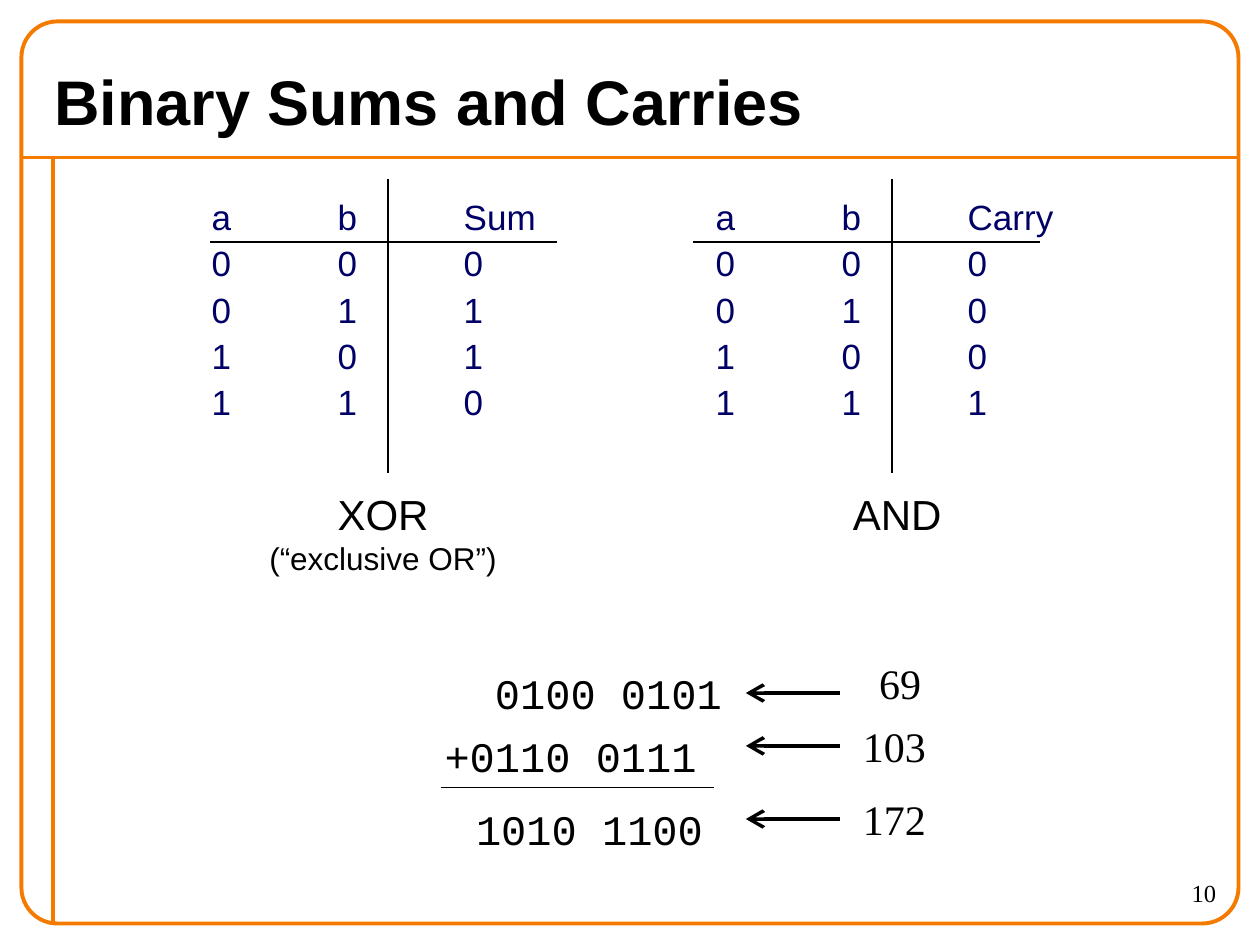
from lxml.etree import SubElement
from pptx import Presentation
from pptx.dml.color import RGBColor
from pptx.enum.shapes import MSO_CONNECTOR, MSO_SHAPE
from pptx.enum.text import MSO_ANCHOR, MSO_AUTO_SIZE, PP_ALIGN
from pptx.oxml.ns import qn
from pptx.util import Inches, Pt

ORANGE = RGBColor(0xF4, 0x7A, 0x00)
NAVY = RGBColor(0x00, 0x00, 0x66)
BLACK = RGBColor(0x00, 0x00, 0x00)
SANS, MONO, SERIF = "Arial", "Courier New", "Times New Roman"

# Content
TITLE = "Binary Sums and Carries"
PAGE_NUMBER = "10"
XOR_TABLE = [("a", "b", "Sum"), "000", "011", "101", "110"]
AND_TABLE = [("a", "b", "Carry"), "000", "010", "100", "111"]
# Addition rows: digits, box (left, top, width), indent, value, value box, arrow height
ADDITION = [
    ("0100 0101", (1.83, 5.25, 5.33), 2.0, "69", (6.88, 5.17, 0.53), 5.5),
    ("+0110 0111", (1.83, 5.75, 5.5), 1.6, "103", (6.75, 5.67, 0.7), 5.92),
    ("1010 1100", (3.08, 6.33, 3), 0.6, "172", (6.75, 6.25, 0.7), 6.5),
]

# Grid, in inches
FRAME_EDGE, RULE_TOP, SIDE_RULE = 0.17, 1.25, 0.42
RULE_LEFTS, DIVIDERS = (1.67, 5.5), (3.08, 7.08)
RULE_WIDTH, HEADER_RULE = 2.75, 1.92
ARROW_TIP, ARROW_START = 5.92, 6.67
ROW_HEIGHT = 0.5
COLUMN_STEP = 1


def place(shape, left, top, width, height):
    shape.left, shape.top = Inches(left), Inches(top)
    shape.width, shape.height = Inches(width), Inches(height)


def write(paragraph, text, size, font, color=BLACK, bold=False):
    run = paragraph.add_run()
    run.text = text
    run.font.size, run.font.name, run.font.bold = Pt(size), font, bold
    run.font.color.rgb = color


def add_text(slide, box, lines, font, align=PP_ALIGN.LEFT, wrap=True, indent=0):
    """Add a text box; lines holds (text, size) pairs."""
    shape = slide.shapes.add_textbox(*(Inches(length) for length in box))
    frame = shape.text_frame
    frame.word_wrap = wrap
    for number, (text, size) in enumerate(lines):
        paragraph = frame.add_paragraph() if number else frame.paragraphs[0]
        paragraph.alignment = align
        if indent:
            paragraph._p.get_or_add_pPr().set("marL", str(Inches(indent)))
        write(paragraph, text, size, font)


def add_line(slide, start, end, color=BLACK, width=0.75, arrow=False):
    points = (Inches(length) for length in start + end)
    connector = slide.shapes.add_connector(MSO_CONNECTOR.STRAIGHT, *points)
    connector.line.color.rgb = color
    connector.line.width = Pt(width)
    if arrow:
        SubElement(connector.line._get_or_add_ln(), qn("a:tailEnd"),
                   type="arrow", w="lg", len="lg")
    SubElement(connector._element.spPr, qn("a:effectLst"))


def add_frame(slide, width, height):
    right, bottom = width - FRAME_EDGE, height - FRAME_EDGE
    add_line(slide, (FRAME_EDGE, RULE_TOP), (right, RULE_TOP), ORANGE, 2.25)
    add_line(slide, (SIDE_RULE, RULE_TOP), (SIDE_RULE, bottom), ORANGE, 2.25)
    border = slide.shapes.add_shape(MSO_SHAPE.ROUNDED_RECTANGLE, 0, 0, 0, 0)
    place(border, FRAME_EDGE, FRAME_EDGE, right - FRAME_EDGE, bottom - FRAME_EDGE)
    border.adjustments[0] = 0.04
    border.shadow.inherit = False
    border.fill.background()
    border.line.color.rgb = ORANGE
    border.line.width = Pt(2.25)


def fill_title(title):
    place(title, 0.33, 0.42, 9.33, 0.75)
    title.text_frame.vertical_anchor = MSO_ANCHOR.MIDDLE
    title.text_frame.auto_size = MSO_AUTO_SIZE.NONE
    paragraph = title.text_frame.paragraphs[0]
    paragraph.alignment = PP_ALIGN.LEFT
    write(paragraph, TITLE, 36, SANS, bold=True)


def fill_truth_tables(body):
    place(body, 0.58, 1.5, 9.25, 3.44)
    frame = body.text_frame
    frame.auto_size = MSO_AUTO_SIZE.NONE
    for number, (left_row, right_row) in enumerate(zip(XOR_TABLE, AND_TABLE)):
        paragraph = frame.add_paragraph() if number else frame.paragraphs[0]
        paragraph.level = 2
        properties = paragraph._p.get_or_add_pPr()
        properties.set("marL", str(Inches(COLUMN_STEP)))
        properties.set("indent", str(Inches(-0.26)))
        properties.set("defTabSz", str(Inches(COLUMN_STEP)))
        SubElement(properties, qn("a:buNone"))
        paragraph.space_before = Pt(2.5 if number else 0)
        cells = ["", *left_row, "", *right_row]
        write(paragraph, "\t".join(cells), 20, SANS, NAVY)


def main():
    presentation = Presentation()
    presentation.slide_width, presentation.slide_height = Inches(10), Inches(7.5)
    slide = presentation.slides.add_slide(presentation.slide_layouts[1])

    add_frame(slide, 10, 7.5)
    fill_title(slide.shapes.title)
    fill_truth_tables(slide.placeholders[1])
    add_text(slide, (8.75, 6.92, 1, 0.42), [(PAGE_NUMBER, 14)], SERIF, PP_ALIGN.RIGHT)

    # Rules and names of the truth tables
    for left, divider in zip(RULE_LEFTS, DIVIDERS):
        add_line(slide, (left, HEADER_RULE), (left + RULE_WIDTH, HEADER_RULE))
        add_line(slide, (divider, 1.42), (divider, 3.75))
    add_text(slide, (1.58, 3.83, 2.92, 0.78),
             [("XOR", 24), ("(“exclusive OR”)", 18)], SANS, PP_ALIGN.CENTER)
    add_text(slide, (6.67, 3.83, 1.25, ROW_HEIGHT), [("AND", 24)], SANS)

    # Worked addition
    for digits, box, indent, value, value_box, arrow_height in ADDITION:
        add_text(slide, (*box, ROW_HEIGHT), [(digits, 24)], MONO, indent=indent)
        add_text(slide, (*value_box, ROW_HEIGHT), [(value, 24)], SERIF, wrap=False)
        add_line(slide, (ARROW_START, arrow_height), (ARROW_TIP, arrow_height),
                 width=2, arrow=True)
    add_line(slide, (3.5, 6.25), (5.67, 6.25))

    presentation.save("out.pptx")


if __name__ == "__main__":
    main()
